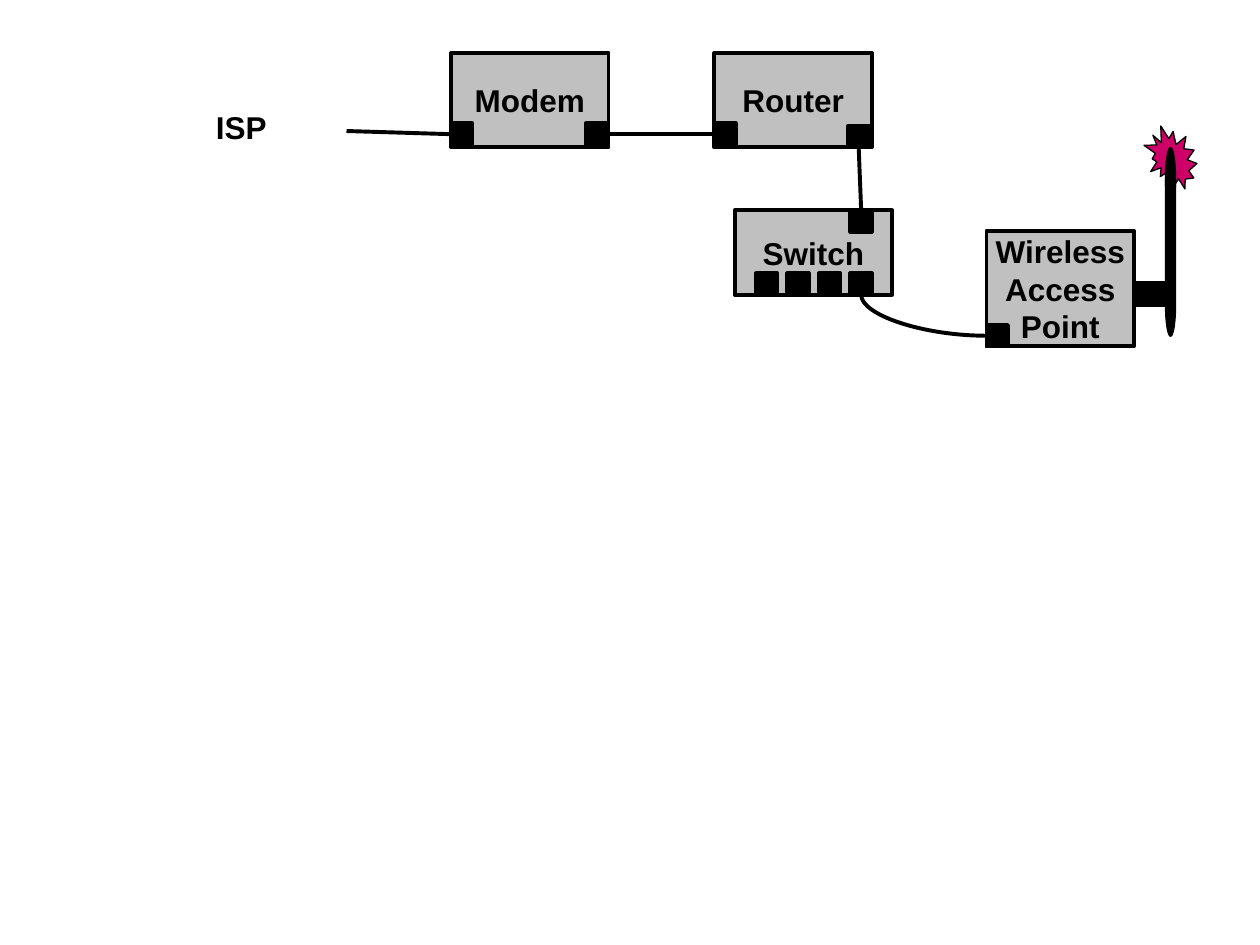
from dataclasses import dataclass

from lxml.etree import SubElement
from pptx import Presentation
from pptx.dml.color import RGBColor
from pptx.enum.shapes import MSO_CONNECTOR as Connector, MSO_SHAPE as Shape
from pptx.enum.text import MSO_ANCHOR as Anchor, MSO_AUTO_SIZE as AutoSize, PP_ALIGN as Align
from pptx.oxml.ns import qn
from pptx.shapes.autoshape import Shape as AutoShape
from pptx.shapes.connector import Connector as Line
from pptx.shapes.shapetree import SlideShapes
from pptx.text.text import TextFrame
from pptx.util import Inches, Pt

BLACK = RGBColor(0x00, 0x00, 0x00)
GREY = RGBColor(0xC0, 0xC0, 0xC0)
MAGENTA = RGBColor(0xCC, 0x00, 0x66)
PORT_SIZE = 0.17
THICK, THIN = 2.25, 0.75
TOP, LEFT, BOTTOM, RIGHT = range(4)


@dataclass(frozen=True)
class Box:
    left: float
    top: float
    width: float
    height: float


@dataclass(frozen=True)
class Device:
    lines: tuple[str, ...]
    box: Box
    ports: tuple[tuple[float, float], ...]


MODEM = Device(("Modem",), Box(3.58, 0.42, 1.25, 0.75), ((3.58, 0.98), (4.65, 0.98)))
ROUTER = Device(("Router",), Box(5.67, 0.42, 1.25, 0.75), ((5.67, 0.98), (6.73, 1)))
SWITCH = Device(
    ("Switch",),
    Box(5.83, 1.67, 1.25, 0.67),
    ((6.75, 1.67), *((6 + 0.25 * index, 2.17) for index in range(4))),
)
ACCESS_POINT = Device(
    ("Wireless", "Access", "Point"), Box(7.83, 1.83, 1.17, 0.92), ((7.83, 2.58),)
)


def write_label(frame: TextFrame, lines: tuple[str, ...]) -> None:
    for index, text in enumerate(lines):
        paragraph = frame.add_paragraph() if index else frame.paragraphs[0]
        paragraph.alignment = Align.CENTER
        run = paragraph.add_run()
        run.text = text
        run.font.name = "Arial"
        run.font.size = Pt(18)
        run.font.bold = True
        run.font.color.rgb = BLACK


def draw_shape(shapes: SlideShapes, kind: Shape, box: Box, fill: RGBColor,
               line_width: float = THICK) -> AutoShape:
    shape = shapes.add_shape(
        kind, Inches(box.left), Inches(box.top), Inches(box.width), Inches(box.height)
    )
    shape.shadow.inherit = False
    shape.fill.solid()
    shape.fill.fore_color.rgb = fill
    shape.line.color.rgb = BLACK
    shape.line.width = Pt(line_width)
    return shape


def draw_device(shapes: SlideShapes, device: Device) -> list[AutoShape]:
    """Draw a labelled device and return its ports."""
    body = draw_shape(shapes, Shape.RECTANGLE, device.box, GREY)
    body.text_frame.word_wrap = False
    body.text_frame.vertical_anchor = Anchor.MIDDLE
    write_label(body.text_frame, device.lines)
    return [
        draw_shape(shapes, Shape.RECTANGLE, Box(left, top, PORT_SIZE, PORT_SIZE), BLACK)
        for left, top in device.ports
    ]


def draw_cable(shapes: SlideShapes, end: AutoShape, end_side: int,
               begin: AutoShape | None = None, begin_side: int = RIGHT,
               start: tuple[float, float] = (0, 0),
               kind: Connector = Connector.STRAIGHT) -> Line:
    """Run a cable to a port, from another port or from a free point."""
    x, y = (Inches(value) for value in start)
    cable = shapes.add_connector(kind, x, y, x, y)
    if begin is not None:
        cable.begin_connect(begin, begin_side)
    cable.end_connect(end, end_side)
    cable.line.color.rgb = BLACK
    cable.line.width = Pt(THICK)
    SubElement(cable._element.spPr, qn("a:effectLst"))
    return cable


def main() -> None:
    presentation = Presentation()
    presentation.slide_width, presentation.slide_height = Inches(10), Inches(7.5)
    slide = presentation.slides.add_slide(presentation.slide_layouts[6])
    shapes = slide.shapes

    # Devices
    router_in, router_out = draw_device(shapes, ROUTER)
    switch_in, *switch_outs = draw_device(shapes, SWITCH)
    modem_in, modem_out = draw_device(shapes, MODEM)

    # Access point with its antenna
    signal = draw_shape(shapes, Shape.EXPLOSION2, Box(9.08, 1, 0.42, 0.5), MAGENTA, THIN)
    signal._element.spPr.xfrm.set("flipH", "1")
    draw_shape(shapes, Shape.RECTANGLE, Box(8.92, 2.25, 0.33, 0.17), BLACK)
    (access_port,) = draw_device(shapes, ACCESS_POINT)
    draw_shape(shapes, Shape.FLOWCHART_MAGNETIC_DISK, Box(9.25, 1.17, 0.08, 1.5), BLACK, THIN)

    # Provider label
    provider = shapes.add_textbox(Inches(1.25), Inches(0.81), Inches(1.33), Inches(0.4))
    provider.text_frame.word_wrap = True
    provider.text_frame.auto_size = AutoSize.SHAPE_TO_FIT_TEXT
    write_label(provider.text_frame, ("ISP",))

    # Cables
    draw_cable(shapes, modem_in, LEFT, start=(2.75, 1.04))
    draw_cable(shapes, router_in, LEFT, modem_out, RIGHT)
    draw_cable(shapes, switch_in, TOP, router_out, BOTTOM)
    curve = draw_cable(shapes, switch_outs[-1], BOTTOM, access_port, LEFT, kind=Connector.CURVE)
    curve._element.spPr.find(qn("a:prstGeom")).set("prst", "curvedConnector2")

    presentation.save("out.pptx")


if __name__ == "__main__":
    main()
